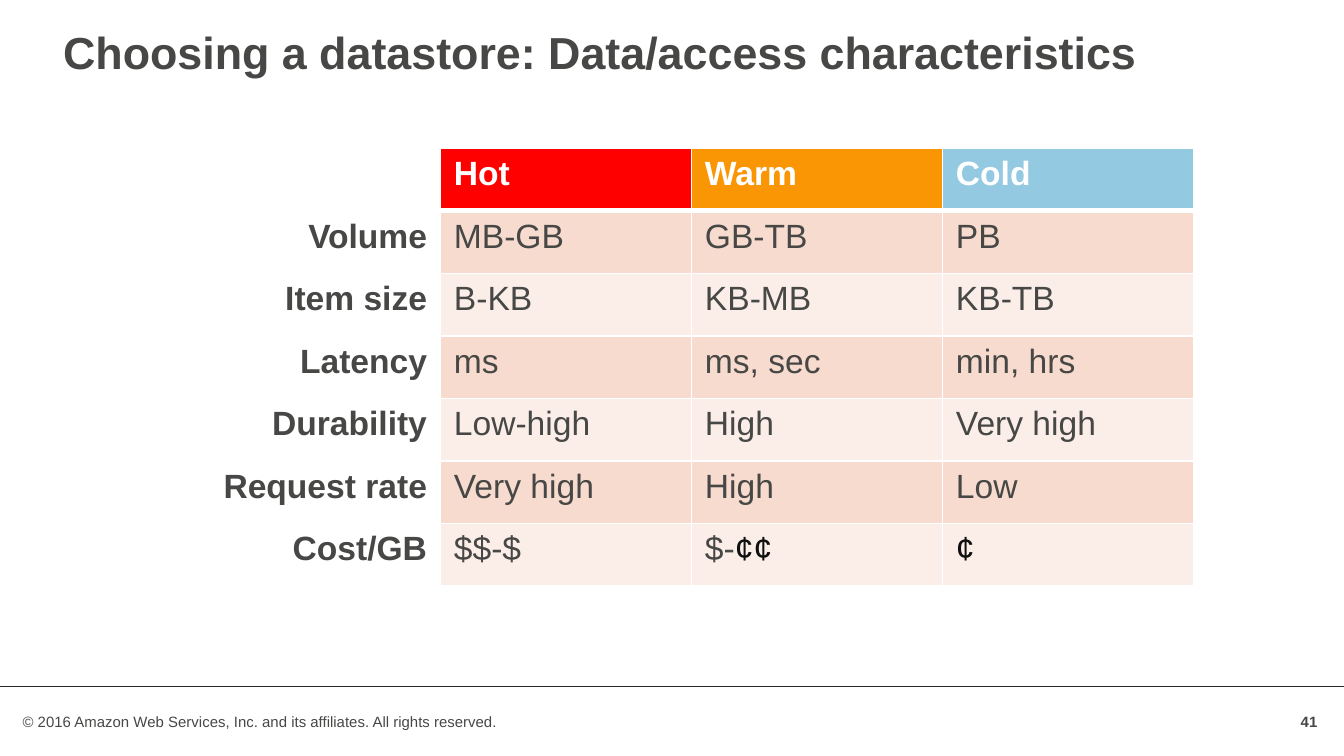
"""Build a slide that compares hot, warm and cold data in a table."""
from dataclasses import dataclass

from lxml import etree
from pptx import Presentation
from pptx.dml.color import RGBColor
from pptx.enum import shapes, text
from pptx.oxml import ns
from pptx.util import Pt


@dataclass(frozen=True)
class Theme:
    font: str = "Arial"
    ink: str = "474746"
    cents: str = "0F0F0F"
    rule: str = "272727"
    white: str = "FFFFFF"
    heads: tuple = ("FF0000", "FA9604", "94C9E2")
    bands: tuple = ("F7DBCE", "FBEEE8")
    title: int = 24
    table: int = 18
    footer: int = 8


theme = Theme()


def write(tf, words, size=theme.table, color=theme.ink, bold=False,
          align=text.PP_ALIGN.LEFT):
    p = tf.paragraphs[0]
    p.alignment = align
    r = p.add_run()
    r.text = words
    r.font.name = theme.font
    r.font.size = Pt(size)
    r.font.bold = bold
    r.font.color.rgb = RGBColor.from_string(color)


def set_borders(cell, **widths):
    tcPr = cell._tc.get_or_add_tcPr()
    for side, width in widths.items():
        ln = etree.SubElement(tcPr, ns.qn(f"a:ln{side}"), w=str(Pt(width)))
        fill = etree.SubElement(ln, ns.qn("a:solidFill"))
        etree.SubElement(fill, ns.qn("a:srgbClr"), val=theme.white)


prs = Presentation()
prs.slide_width, prs.slide_height = Pt(720), Pt(405)
s = prs.slides.add_slide(prs.slide_layouts[5])

for left, right in ((0, 720), (7.2, 712.8)):
    line = s.shapes.add_connector(
        shapes.MSO_CONNECTOR.STRAIGHT, Pt(left), Pt(367.9), Pt(right), Pt(367.9))
    line.line.color.rgb = RGBColor.from_string(theme.rule)
    line.line.width = Pt(0.25)
    etree.SubElement(line._element.spPr, ns.qn("a:effectLst"))

number = s.shapes.add_textbox(Pt(687.6), Pt(375.8), Pt(25.2), Pt(21.6))
number.text_frame.word_wrap = True
number.text_frame.vertical_anchor = text.MSO_ANCHOR.MIDDLE
write(number.text_frame, "41", size=theme.footer, bold=True,
      align=text.PP_ALIGN.RIGHT)

footer = s.shapes.add_textbox(Pt(5), Pt(378), Pt(396.7), Pt(17))
footer.text_frame.word_wrap = True
write(footer.text_frame,
      "© 2016 Amazon Web Services, Inc. and its affiliates. All rights reserved.",
      size=theme.footer)

title = s.shapes.title
title.left, title.top, title.width, title.height = Pt(26.6), Pt(9.4), Pt(645.8), Pt(53.3)
title.text_frame.vertical_anchor = text.MSO_ANCHOR.TOP
title.text_frame.auto_size = text.MSO_AUTO_SIZE.NONE
write(title.text_frame, "Choosing a datastore: Data/access characteristics",
      size=theme.title, bold=True)

rows = (
    ("", "Hot", "Warm", "Cold"),
    ("Volume", "MB-GB", "GB-TB", "PB"),
    ("Item size", "B-KB", "KB-MB", "KB-TB"),
    ("Latency", "ms", "ms, sec", "min, hrs"),
    ("Durability", "Low-high", "High", "Very high"),
    ("Request rate", "Very high", "High", "Low"),
    ("Cost/GB", "$$-$", "$-¢¢", "¢"),
)
table = s.shapes.add_table(
    len(rows), len(rows[0]), Pt(101.5), Pt(79.5), Pt(538), Pt(234.5)).table
table.first_row = table.horz_banding = False

for i, row in enumerate(rows):
    table.rows[i].height = Pt(33.5)
    for j, words in enumerate(row):
        cell = table.cell(i, j)
        tf = cell.text_frame
        set_borders(cell, L=1, R=1, T=3 if i == 1 else 1, B=3 if i == 0 else 1)
        if j == 0:
            cell.fill.background()
            write(tf, words, bold=True, align=text.PP_ALIGN.RIGHT)
            continue
        cell.fill.solid()
        cell.fill.fore_color.rgb = RGBColor.from_string(
            theme.bands[(i - 1) % 2] if i else theme.heads[j - 1])
        if i == 0:
            write(tf, words, color=theme.white, bold=True)
            continue
        plain = words.rstrip("¢")
        for part, color in ((plain, theme.ink), (words[len(plain):], theme.cents)):
            if part:
                write(tf, part, color=color)

prs.save("out.pptx")
